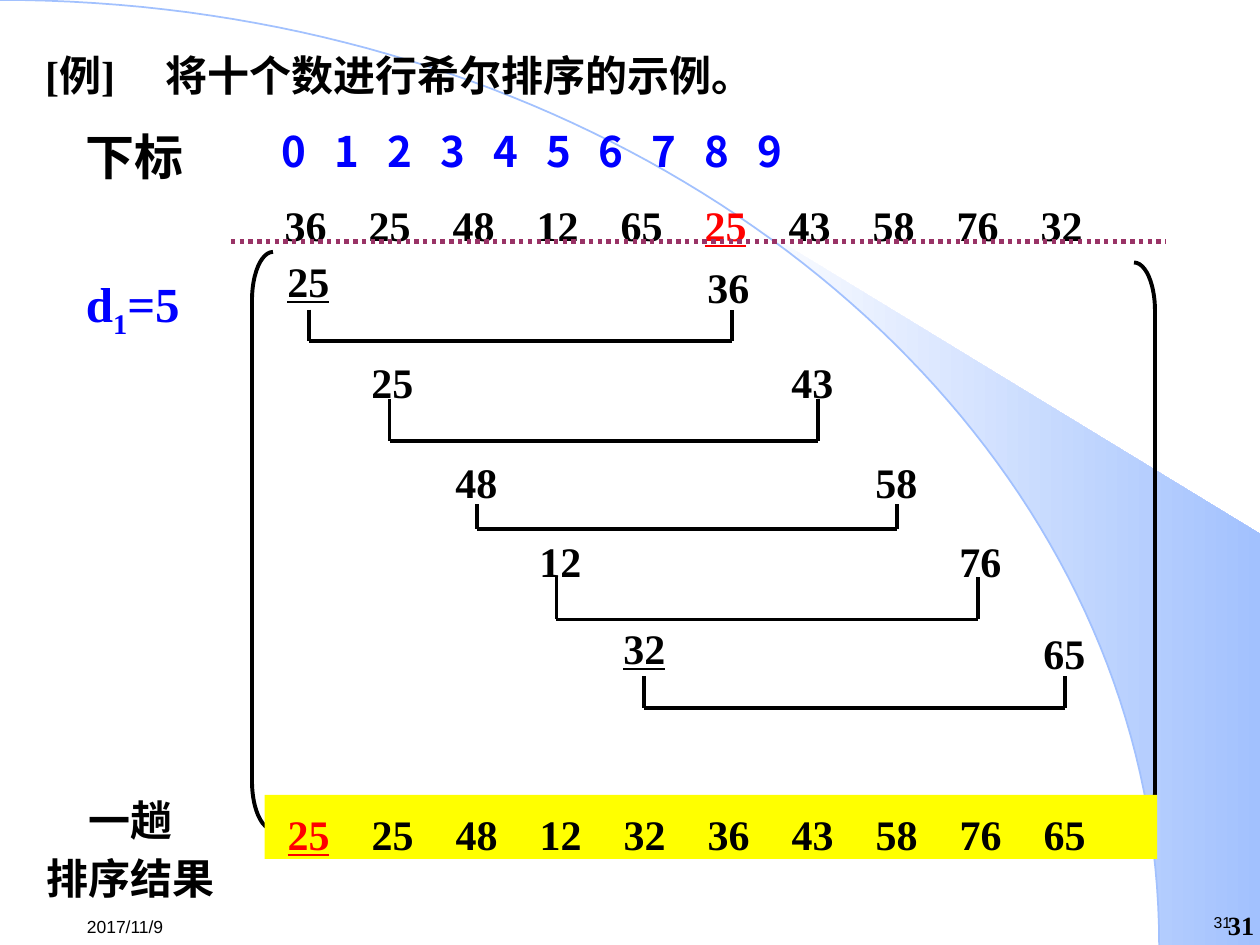
from pptx import Presentation
from pptx.dml.color import RGBColor as Rgb
from pptx.enum.dml import MSO_LINE as Dash
from pptx.enum.shapes import MSO_CONNECTOR as Conn, MSO_SHAPE as Shape
from pptx.enum.text import MSO_ANCHOR as Anchor, PP_ALIGN as Align
from pptx.oxml.ns import qn
from pptx.util import Inches, Pt
from lxml.etree import SubElement as Sub

INK = {"black": "000000", "blue": "0000FF", "red": "FF0000", "plum": "993366",
       "sky": "A2C1FE", "white": "FFFFFF", "gold": "FFFF00"}
TIMES, NOTO, ARIAL = "Times New Roman", "Noto Sans CJK SC", "Arial"
COLS, ROWS = 120, 90  # the slide as a grid
STEP = 8  # columns from one number to the next

deck = Presentation()
deck.slide_width, deck.slide_height = Inches(10), Inches(7.5)
slide = deck.slides.add_slide(deck.slide_layouts[5])
shapes = slide.shapes


def cell(n):
    return int(deck.slide_width * n / COLS)


def hue(name):
    return Rgb.from_string(INK[name])


def place(item, box):
    item.left, item.top, item.width, item.height = map(cell, box)


def write(item, lines, size=24, face=TIMES, ink="black", bold=True, pad=(1.2, 1),
          align=Align.LEFT, tab=0, stops=9, lead=None, anchor=Anchor.TOP):
    """Each line is a list of (text, ink, style) runs or a plain string."""
    frame = item.text_frame
    frame.word_wrap, frame.vertical_anchor = True, anchor
    frame.margin_left, frame.margin_top = map(cell, pad)
    frame.margin_right = frame.margin_bottom = 0
    for i, line in enumerate(lines):
        para = frame.add_paragraph() if i else frame.paragraphs[0]
        para.alignment = align
        if lead:
            para.line_spacing = Pt(lead)
        if tab:
            tabs = Sub(para._p.get_or_add_pPr(), qn("a:tabLst"))
            for k in range(1, stops + 1):
                Sub(tabs, qn("a:tab"), pos=str(cell(tab * k)), algn="l")
        for text, tone, style in [(line, ink, "")] if isinstance(line, str) else line:
            run = para.add_run()
            run.text = text
            font = run.font
            font.size, font.name, font.bold = Pt(size), face, bold
            font.color.rgb = hue(tone)
            if style == "under":
                font.underline = True
            mark = run._r.get_or_add_rPr()
            if style == "sub":
                mark.set("baseline", "-25000")
            Sub(mark, qn("a:ea"), typeface=NOTO)


def label(box, *lines, **look):
    item = shapes.add_textbox(*map(cell, box))
    write(item, lines, **look)


def rule(x1, y1, x2, y2, ink="black", width=2.25):
    line = shapes.add_connector(Conn.STRAIGHT, *map(cell, (x1, y1, x2, y2)))
    line.line.color.rgb, line.line.width = hue(ink), Pt(width)
    Sub(line._element.spPr, qn("a:effectLst"))
    return line


def outline(dots, close):
    dots = [tuple(map(cell, dot)) for dot in dots]
    pen = shapes.build_freeform(*dots[0], scale=1.0)
    pen.add_line_segments(dots[1:], close=close)
    item = pen.convert_to_shape()
    item.shadow.inherit = False
    return item


def backdrop(w, h):
    """Quarter arc with a shaded beam to its right."""
    def arc(t):
        s = 1 - t
        x = 3 * s * s * t * 0.508 + 3 * s * t * t * 0.92 + t ** 3 * 0.92
        y = 3 * s * t * t * 0.447 + t ** 3
        return x * w, y * h
    curve = [arc(i / 80) for i in range(81)]
    tail = [dot for dot in curve if dot[0] >= 0.589 * w]
    beam = outline([(0.589 * w, 0.231 * h), *tail, (w, h), (w, 0.565 * h)], True)
    beam.fill.gradient()
    beam.fill.gradient_angle = 0
    for stop, ink, spot in zip(beam.fill.gradient_stops, ("white", "sky"), (0, 1)):
        stop.color.rgb, stop.position = hue(ink), spot
    beam.line.fill.background()
    edge = outline(curve, False)
    edge.fill.background()
    edge.line.color.rgb, edge.line.width = hue("sky"), Pt(1)


def heading(box):
    title = shapes.title
    shapes.element.append(title.element)  # in front of the backdrop
    place(title, box)
    write(title, ["[例]\t将十个数进行希尔排序的示例。"], pad=(4.3, 0.7), tab=11.5, stops=1)


def header(x, y):
    """Index row, start values and the dotted rule."""
    label((x, y, 14, 6.8), "下标", size=28, face=NOTO, pad=(1.2, 0))
    label((x + 17, y, 88, 6), "\t".join(map(str, range(10))), face=NOTO,
          ink="blue", pad=(2.8, 0), tab=5.04)
    label((x + 18, y + 6, 88, 6), [
        ("36\t25\t48\t12\t65\t", "black", ""), ("25", "red", "under"),
        ("\t43\t58\t76\t32", "black", "")], pad=(2.1, 1), tab=STEP)
    rule(x + 15, y + 11, x + 104, y + 11, "plum", 2.5).line.dash_style = Dash.ROUND_DOT


def frame(x, y):
    """Big brackets and the gap of this pass."""
    for kind, dx, dy in ((Shape.LEFT_BRACKET, 0, 0), (Shape.RIGHT_BRACKET, 84, 1)):
        side = shapes.add_shape(kind, *map(cell, (x + dx, y + dy, 2, 55)))
        side.adjustments[0] = 2.29
        side.shadow.inherit = False
        side.fill.background()
        side.line.color.rgb, side.line.width = hue("black"), Pt(2.25)
    label((x - 17, y + 1, 13, 6.8), [("d", "blue", ""), ("1", "blue", "sub"),
                                     ("=5", "blue", "")], size=28)


def pairs(x, y):
    """Compared numbers, five places apart, each pair joined below."""
    # left, right, their rows, swapped, link columns, link rows
    data = [("25", "36", 0, 0.6, True, 3.2, 43.5, 6.2, 9.2),
            ("25", "43", 9.7, 9.7, False, 2.9, 43.7, 14.7, 18.7),
            ("48", "58", 19.2, 19.2, False, 3.2, 43.2, 24.7, 27.1),
            ("12", "76", 26.7, 26.7, False, 2.8, 42.9, 31.7, 35.7),
            ("32", "65", 35, 35.5, True, 3.1, 43.2, 41.1, 44.1)]
    for i, (low, high, r1, r2, swap, x1, x2, top, base) in enumerate(data):
        left = x + i * STEP
        label((left, y + r1, 7, 6), [(low, "black", "under" if swap else "")])
        label((left + 5 * STEP, y + r2, 7, 6), high)
        path_dots = [(x1, top), (x1, base), (x2, base), (x2, top)]
        for (a, b), (c, d) in zip(path_dots, path_dots[1:]):
            rule(left + a, y + b, left + c, y + d)


def result(x, y):
    """Outcome of the pass on a gold bar."""
    bar = shapes.add_shape(Shape.RECTANGLE, *map(cell, (x + 22.3, y + 0.9, 85, 6.1)))
    bar.shadow.inherit = False
    bar.fill.solid()
    bar.fill.fore_color.rgb = hue("gold")
    bar.line.fill.background()
    write(bar, [[("25", "red", "under"),
                 ("\t25\t48\t12\t32\t36\t43\t58\t76\t65", "black", "")]],
          pad=(2.2, 1.3), tab=STEP)
    label((x, y, 19, 11.5), "一趟", "排序结果", face=NOTO, pad=(0, 0.2),
          align=Align.CENTER, lead=33)


def footer(y):
    label((114.4, y, 4.2, 3), "31", size=9, face=ARIAL, bold=False, pad=(1.2, 0.6))
    label((7.1, y + 0.1, 12.2, 3.6), "2017/11/9", size=10, face=ARIAL, bold=False,
          pad=(1.2, 0), anchor=Anchor.MIDDLE)
    label((116.4, y + 0.8, 3.6, 2.9), "31", size=15, pad=(0, 0),
          align=Align.CENTER, lead=15)


backdrop(COLS, ROWS)
heading((0, 4, COLS, 8))
header(7, 12)
frame(24, 24)
pairs(26.2, 23.3)
result(2.9, 74.8)
footer(86.3)
deck.save("out.pptx")
